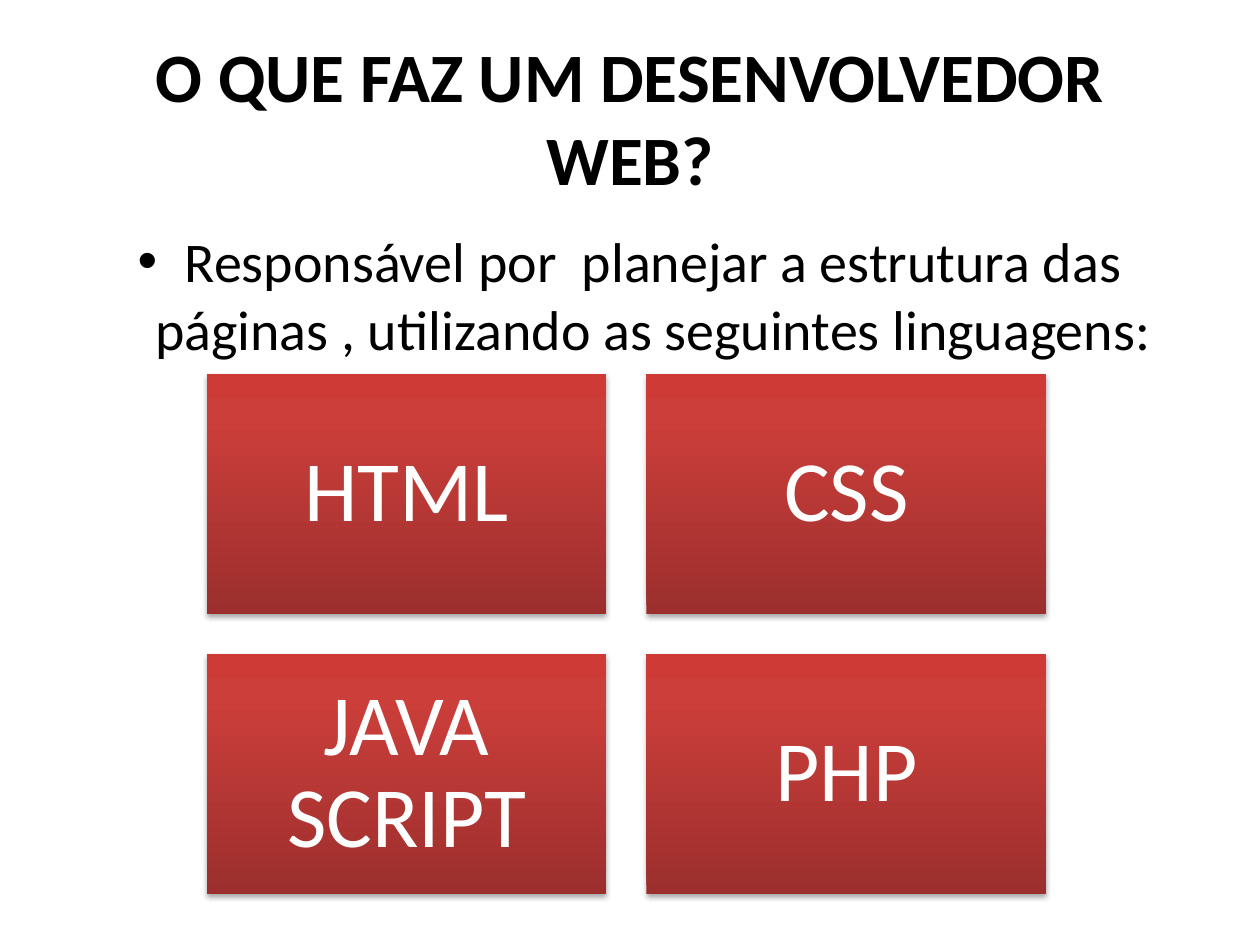
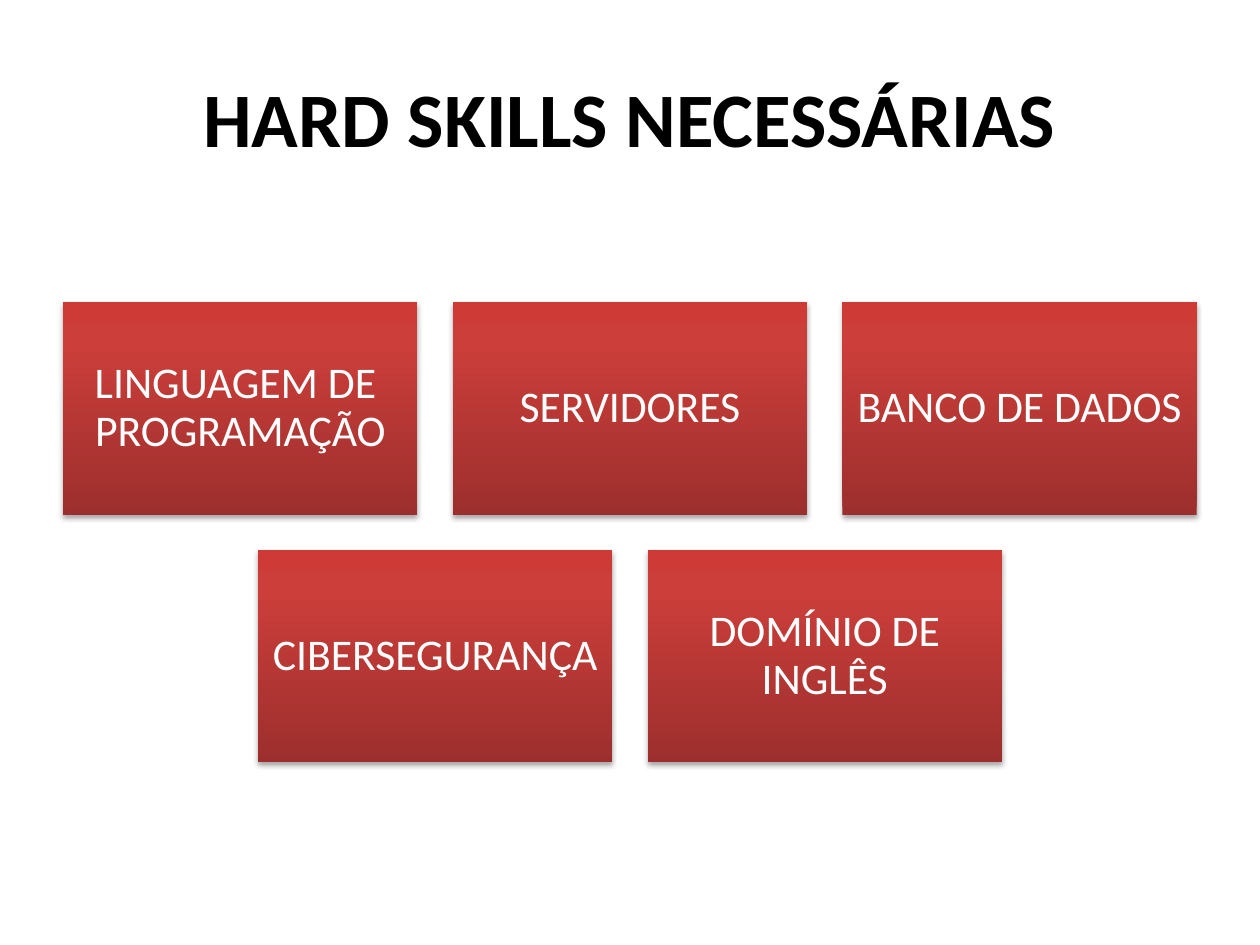
"""Build two slides about web developers: their languages and hard skills."""
from lxml import etree
from pptx import Presentation
from pptx.dml.color import RGBColor
from pptx.enum.shapes import MSO_SHAPE
from pptx.enum.text import MSO_ANCHOR, MSO_AUTO_SIZE, PP_ALIGN
from pptx.oxml.ns import qn
from pptx.util import Cm, Pt

RECTANGLE = MSO_SHAPE.RECTANGLE
MIDDLE = MSO_ANCHOR.MIDDLE
NO_FIT = MSO_AUTO_SIZE.NONE
CENTER = PP_ALIGN.CENTER

BLACK = RGBColor(0x00, 0x00, 0x00)
WHITE = RGBColor(0xFF, 0xFF, 0xFF)
RED_DARK = RGBColor(0x9C, 0x2F, 0x2D)
RED = RGBColor(0xCB, 0x3E, 0x3A)
RED_BRIGHT = RGBColor(0xCE, 0x3B, 0x37)
TILE_STOPS = [(0, RED_DARK), (80, RED), (100, RED_BRIGHT)]

TITLE_FONT = {"name": "Calibri", "bold": True}
BODY_FONT = {"name": "Calibri", "size": Pt(32)}
TILE_FONT = {"name": "Calibri"}
TITLE_FRAME = {"vertical_anchor": MIDDLE, "auto_size": NO_FIT, "word_wrap": True}
BODY_FRAME = {"auto_size": NO_FIT, "word_wrap": True}
TILE_FRAME = {"vertical_anchor": MIDDLE, "word_wrap": True}
MARGINS = ("margin_left", "margin_top", "margin_right", "margin_bottom")


def set_attrs(target, values):
    for name, value in values.items():
        setattr(target, name, value)


def add_element(parent, tag, **attrs):
    return etree.SubElement(parent, qn(tag), {k: str(v) for k, v in attrs.items()})


def write(tf, text, color, frame, font):
    set_attrs(tf, frame)
    p = tf.paragraphs[0]
    p.alignment = CENTER
    r = p.add_run()
    r.text = text
    set_attrs(r.font, font)
    r.font.color.rgb = color
    return p


def add_titled_slide(prs, text, size):
    slide = prs.slides.add_slide(prs.slide_layouts[5])
    title = slide.shapes.title
    place = {"left": Cm(1.27), "top": Cm(0.76), "width": Cm(22.86), "height": Cm(3.18)}
    set_attrs(title, place)
    write(title.text_frame, text, BLACK, TITLE_FRAME, {**TITLE_FONT, "size": Pt(size)})
    return slide


def add_bullet_text(slide, text):
    sp = slide.shapes.add_textbox(Cm(1.27), Cm(4.45), Cm(22.86), Cm(12.57))
    p = write(sp.text_frame, text, BLACK, BODY_FRAME, BODY_FONT)
    pPr = p._p.get_or_add_pPr()
    indent = Cm(0.95)
    pPr.set("marL", str(indent))
    pPr.set("indent", str(-indent))
    add_element(pPr, "a:buFont", typeface="Arial")
    add_element(pPr, "a:buChar", char="•")


def set_gradient(sp):
    sp.fill.gradient()
    sp.fill.gradient_angle = 90
    stops = sp._element.spPr.find(".//" + qn("a:gsLst"))
    stops.clear()
    for percent, color in TILE_STOPS:
        stop = add_element(stops, "a:gs", pos=percent * 1000)
        add_element(stop, "a:srgbClr", val=color)


def set_shadow(sp):
    sp.shadow.inherit = False
    effects = sp._element.spPr.find(qn("a:effectLst"))
    shadow = add_element(effects, "a:outerShdw", blurRad=Pt(3.1), dist=Pt(1.8),
                         dir=5400000, rotWithShape=0)
    color = add_element(shadow, "a:srgbClr", val=BLACK)
    add_element(color, "a:alpha", val=35000)


def add_tile(slide, text, left, top, width, height, size, inset):
    sp = slide.shapes.add_shape(RECTANGLE, Cm(left), Cm(top), Cm(width), Cm(height))
    set_gradient(sp)
    sp.line.fill.background()
    set_shadow(sp)
    frame = {**TILE_FRAME, **dict.fromkeys(MARGINS, Cm(inset))}
    p = write(sp.text_frame, text, WHITE, frame, {**TILE_FONT, "size": Pt(size)})
    p.line_spacing = 0.9


def add_tile_rows(slide, rows, center, top, width, size, inset):
    height, gap = 0.6 * width, 0.1 * width
    for i, row in enumerate(rows):
        row_width = len(row) * (width + gap) - gap
        for j, text in enumerate(row):
            left = center - row_width / 2 + j * (width + gap)
            add_tile(slide, text, left, top + i * (height + gap), width, height,
                     size, inset)


def main():
    prs = Presentation()
    prs.slide_width, prs.slide_height = Cm(25.4), Cm(19.05)

    slide = add_titled_slide(prs, "O QUE FAZ UM DESENVOLVEDOR WEB?", 39.6)
    add_bullet_text(slide, "Responsável por  planejar a estrutura das páginas , "
                           "utilizando as seguintes linguagens:")
    languages = [["HTML", "CSS"], ["JAVA SCRIPT", "PHP"]]
    add_tile_rows(slide, languages, center=12.63, top=7.54, width=8.06,
                  size=49, inset=0.52)

    slide = add_titled_slide(prs, "HARD SKILLS NECESSÁRIAS", 44)
    skills = [["LINGUAGEM DE  PROGRAMAÇÃO", "SERVIDORES", "BANCO DE DADOS"],
              ["CIBERSEGURANÇA", "DOMÍNIO DE INGLÊS"]]
    add_tile_rows(slide, skills, center=12.7, top=6.09, width=7.14,
                  size=25, inset=0.26)

    prs.save("out.pptx")


if __name__ == "__main__":
    main()
